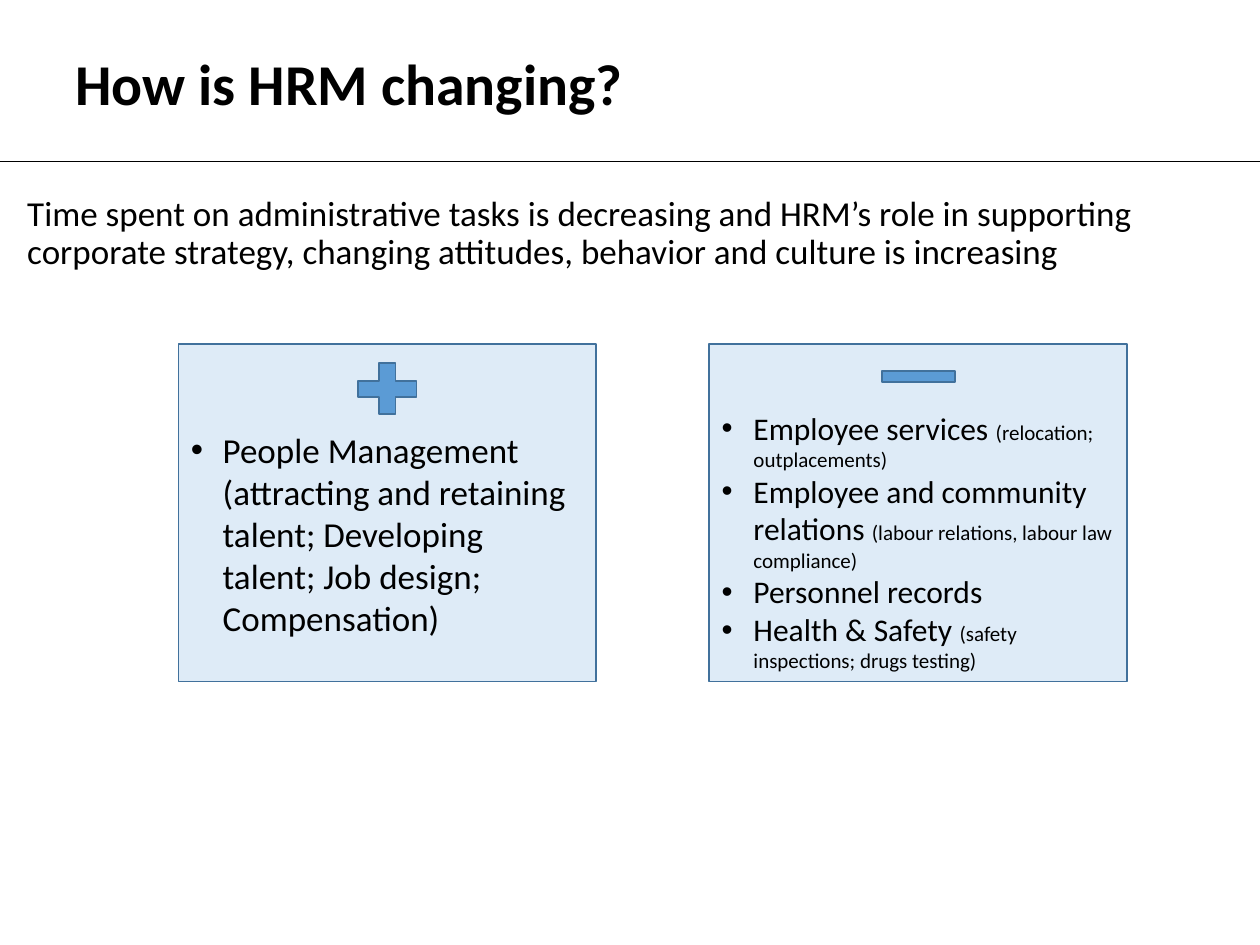
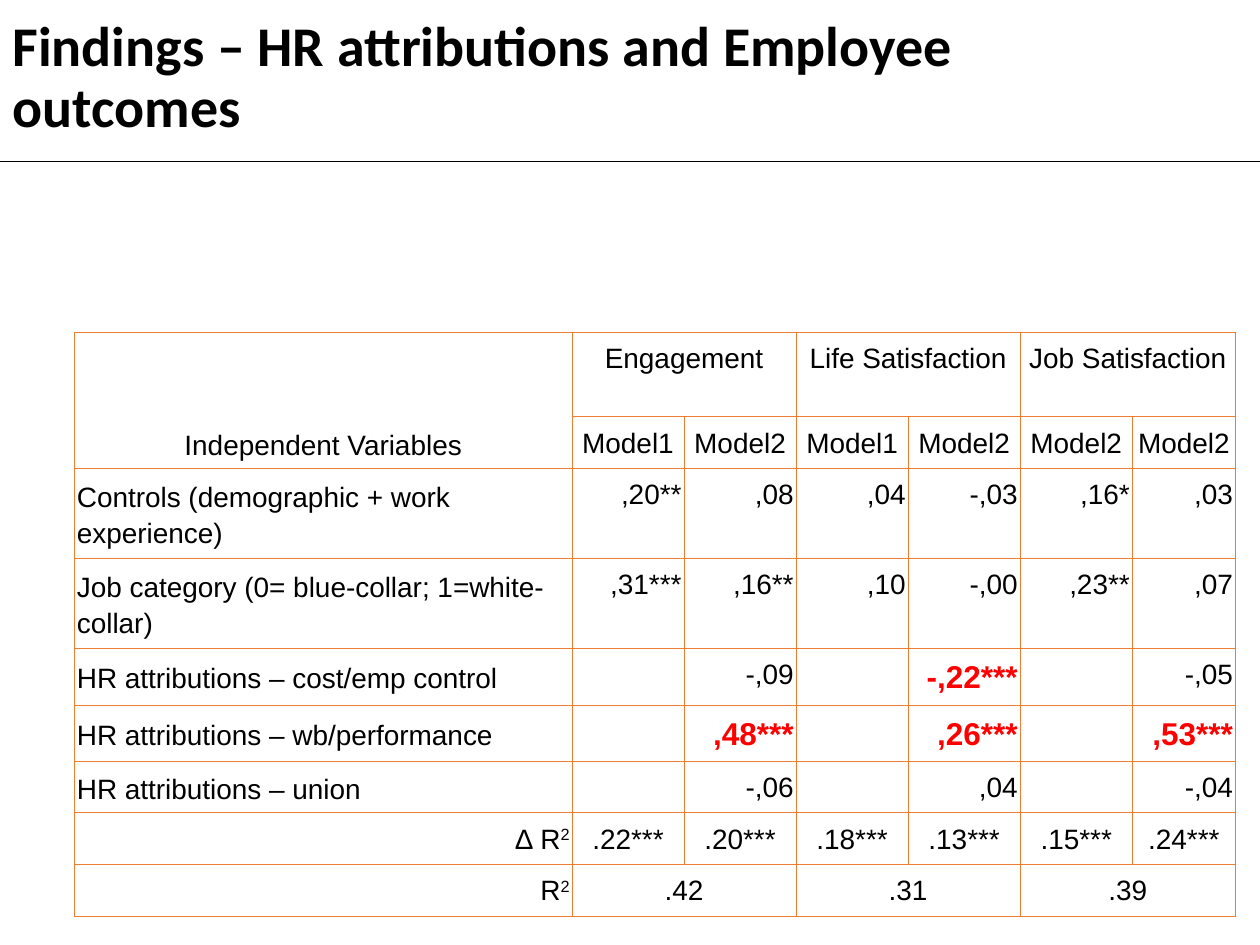
from lxml.etree import SubElement
from pptx import Presentation
from pptx.dml.color import RGBColor
from pptx.enum.shapes import MSO_CONNECTOR, MSO_SHAPE
from pptx.enum.text import MSO_ANCHOR, PP_ALIGN
from pptx.oxml import parse_xml
from pptx.oxml.ns import nsdecls, qn
from pptx.util import Cm, Pt

BLACK = RGBColor(0x00, 0x00, 0x00)
RED = RGBColor(0xFF, 0x00, 0x00)
PALE_BLUE = RGBColor(0xDE, 0xEB, 0xF7)
BLUE = RGBColor(0x5B, 0x9B, 0xD5)
DARK_BLUE = RGBColor(0x41, 0x71, 0x9C)
ORANGE = RGBColor(0xED, 0x7D, 0x31)

PAGE_WIDTH, PAGE_HEIGHT = 25.4, 19.05
RULE_TOP = 3.25
PANEL_TOP, PANEL_WIDTH, PANEL_HEIGHT = 6.93, 8.42, 6.81
SIGN_TOP = 7.14

EMPLOYEE_SERVICES = [
    [("Employee services ", {}), ("(relocation; outplacements)", {"size": Pt(12)})],
    [("Employee and community relations ", {}),
     ("(labour relations, labour law compliance)", {"size": Pt(12)})],
    [("Personnel records", {})],
    [("Health & Safety ", {}), ("(safety inspections; drugs testing)", {"size": Pt(12)})],
]
PEOPLE_MANAGEMENT = [[("People Management (attracting and retaining talent; "
                       "Developing talent; Job design; Compensation)", {})]]

COLUMN_WIDTHS = [10.03] + [2.26] * 5 + [2.08]
ROW_HEIGHTS = [1.7, 0.89, 1.65, 1.68, 0.89, 0.99, 0.89, 0.89, 0.89]
FINDINGS = [
    ["Independent Variables", "Engagement", "", "Life Satisfaction", "", "Job Satisfaction", ""],
    ["", "Model1", "Model2", "Model1", "Model2", "Model2", "Model2"],
    ["Controls (demographic + work experience)", ",20**", ",08", ",04", "-,03", ",16*", ",03"],
    ["Job category (0= blue-collar; 1=white-collar)",
     ",31***", ",16**", ",10", "-,00", ",23**", ",07"],
    ["HR attributions – cost/emp control", "", "-,09", "", "-,22***", "", "-,05"],
    ["HR attributions – wb/performance", "", ",48***", "", ",26***", "", ",53***"],
    ["HR attributions – union", "", "-,06", "", ",04", "", "-,04"],
    ["∆ R", ".22***", ".20***", ".18***", ".13***", ".15***", ".24***"],
    ["R", ".42", "", ".31", "", ".39", ""],
]
HEADER_ROWS, COEFFICIENT_ROWS = range(2), range(2, 7)


def set_values(target, values):
    """Set each named attribute of the target."""
    for name, value in values.items():
        setattr(target, name, value)


class SlideBuilder:
    """Holds the shared style and the slide being drawn."""

    def __init__(self):
        """Open an empty deck of the right size."""
        self.deck = Presentation()
        set_values(self.deck, {"slide_width": Cm(PAGE_WIDTH), "slide_height": Cm(PAGE_HEIGHT)})
        self.page = None

    def start(self, title, place, size):
        """Add a page with its rule and title."""
        self.page = self.deck.slides.add_slide(self.deck.slide_layouts[6])
        self.rule()
        self.text(title, place, {"size": Pt(size), "bold": True}, MSO_ANCHOR.MIDDLE)

    def rule(self):
        """Draw the line under the title."""
        line = self.page.shapes.add_connector(
            MSO_CONNECTOR.STRAIGHT, 0, Cm(RULE_TOP), Cm(PAGE_WIDTH), Cm(RULE_TOP))
        line.line.color.rgb = BLACK
        line.line.width = Pt(0.5)
        SubElement(line._element.spPr, qn("a:effectLst"))

    def fill_text(self, frame, paragraphs, font, layout):
        """Fill a text frame with paragraphs made of formatted spans."""
        for index, spans in enumerate(paragraphs):
            para = frame.add_paragraph() if index else frame.paragraphs[0]
            set_values(para, layout)
            for text, changes in spans:
                span = para.add_run()
                span.text = text
                style = {"name": "Calibri", "color": BLACK, **font, **changes}
                span.font.color.rgb = style.pop("color")
                raised = style.pop("raised", False)
                set_values(span.font, style)
                if raised:
                    span._r.get_or_add_rPr().set("baseline", "30000")

    def text(self, words, place, font, anchor=MSO_ANCHOR.TOP):
        """Add a wrapped text box."""
        box = self.page.shapes.add_textbox(*map(Cm, place))
        set_values(box.text_frame, {"word_wrap": True, "vertical_anchor": anchor})
        layout = {"line_spacing": 0.9, "space_before": Pt(7.5 if anchor == MSO_ANCHOR.TOP else 0)}
        self.fill_text(box.text_frame, [[(words, {})]], font, layout)

    def shape(self, kind, place, fill):
        """Add an outlined preset shape."""
        box = self.page.shapes.add_shape(kind, *map(Cm, place))
        box.shadow.inherit = False
        box.fill.solid()
        box.fill.fore_color.rgb = fill
        box.line.color.rgb = DARK_BLUE
        box.line.width = Pt(1)
        return box

    def panel(self, left, bullets, size, text_top):
        """Add a pale panel with a bulleted list."""
        place = (left, PANEL_TOP, PANEL_WIDTH, PANEL_HEIGHT)
        frame = self.shape(MSO_SHAPE.RECTANGLE, place, PALE_BLUE).text_frame
        set_values(frame, {"word_wrap": True, "vertical_anchor": MSO_ANCHOR.MIDDLE,
                           "margin_top": Cm(text_top), "margin_bottom": Cm(0.13)})
        self.fill_text(frame, bullets, {"size": Pt(size)}, {"alignment": PP_ALIGN.LEFT})
        for para in frame.paragraphs:
            properties = para._p.get_or_add_pPr()
            properties.set("marL", str(Cm(0.64)))
            properties.set("indent", str(-Cm(0.64)))
            SubElement(properties, qn("a:buFont"), typeface="Arial")
            SubElement(properties, qn("a:buChar"), char="•")

    def border(self, cell):
        """Give a cell thin orange edges and no fill."""
        cell.fill.background()
        properties = cell._tc.get_or_add_tcPr()
        for index, edge in enumerate(("lnL", "lnR", "lnT", "lnB")):
            properties.insert(index, parse_xml(
                f'<a:{edge} {nsdecls("a")} w="{Pt(0.45)}"><a:solidFill>'
                f'<a:srgbClr val="{ORANGE}"/></a:solidFill></a:{edge}>'))

    def cell(self, cell, row, column, words):
        """Format one table cell by its place in the table."""
        self.border(cell)
        alignment, anchor = PP_ALIGN.CENTER, MSO_ANCHOR.TOP
        if row in COEFFICIENT_ROWS:
            alignment = PP_ALIGN.RIGHT if column else PP_ALIGN.LEFT
            anchor = MSO_ANCHOR.TOP if column else MSO_ANCHOR.MIDDLE
        elif column == 0:
            alignment = PP_ALIGN.CENTER if row in HEADER_ROWS else PP_ALIGN.RIGHT
            anchor = MSO_ANCHOR.BOTTOM if row in HEADER_ROWS else MSO_ANCHOR.TOP
        set_values(cell, {"margin_left": Cm(0.05), "margin_right": Cm(0.05),
                          "margin_top": Cm(0.13), "margin_bottom": Cm(0.13),
                          "vertical_anchor": anchor})
        if not words:
            SubElement(cell.text_frame.paragraphs[0]._p, qn("a:endParaRPr"), sz="1600")
            return
        font = {"name": "Arial", "size": Pt(16)}
        if FINDINGS[row][0].startswith("HR") and words.endswith("***"):
            font.update({"size": Pt(18), "bold": True, "color": RED})
        spans = [(words, {})]
        if words.endswith("R"):
            spans.append(("2", {"raised": True}))
        layout = {"alignment": alignment, "line_spacing": 1.15}
        self.fill_text(cell.text_frame, [spans], font, layout)

    def table(self, left, top):
        """Add the table of findings."""
        place = (left, top, sum(COLUMN_WIDTHS), sum(ROW_HEIGHTS))
        grid = self.page.shapes.add_table(
            len(ROW_HEIGHTS), len(COLUMN_WIDTHS), *map(Cm, place)).table
        set_values(grid, {"first_row": False, "horz_banding": False})
        for column, width in zip(grid.columns, COLUMN_WIDTHS):
            column.width = Cm(width)
        for row, height in zip(grid.rows, ROW_HEIGHTS):
            row.height = Cm(height)
        for row, values in enumerate(FINDINGS):
            for column, words in enumerate(values):
                self.cell(grid.cell(row, column), row, column, words)
        grid.cell(0, 0).merge(grid.cell(1, 0))
        for row in (0, len(FINDINGS) - 1):
            for column in range(1, len(COLUMN_WIDTHS), 2):
                grid.cell(row, column).merge(grid.cell(row, column + 1))


def main():
    """Build both slides and save the deck."""
    builder = SlideBuilder()

    builder.start("How is HRM changing?", (1.27, 0.76, 22.86, 1.96), 33)
    builder.text("Time spent on administrative tasks is decreasing and HRM’s role in supporting "
                 "corporate strategy, changing attitudes, behavior and culture is increasing",
                 (0.3, 3.84, 24.79, 11.4), {"size": Pt(20)})
    builder.panel(3.6, PEOPLE_MANAGEMENT, 20, 0.97)
    builder.panel(14.3, EMPLOYEE_SERVICES, 18, 1.27)
    builder.shape(MSO_SHAPE.MATH_PLUS, (7.01, SIGN_TOP, 1.6, 1.4), BLUE)
    builder.shape(MSO_SHAPE.MATH_MINUS, (17.52, SIGN_TOP, 2, 0.91), BLUE)

    builder.start("Findings – HR attributions and Employee outcomes", (0, 0, 21.54, 3.18), 32)
    builder.table(1.5, 6.7)

    builder.deck.save("out.pptx")


if __name__ == "__main__":
    main()
